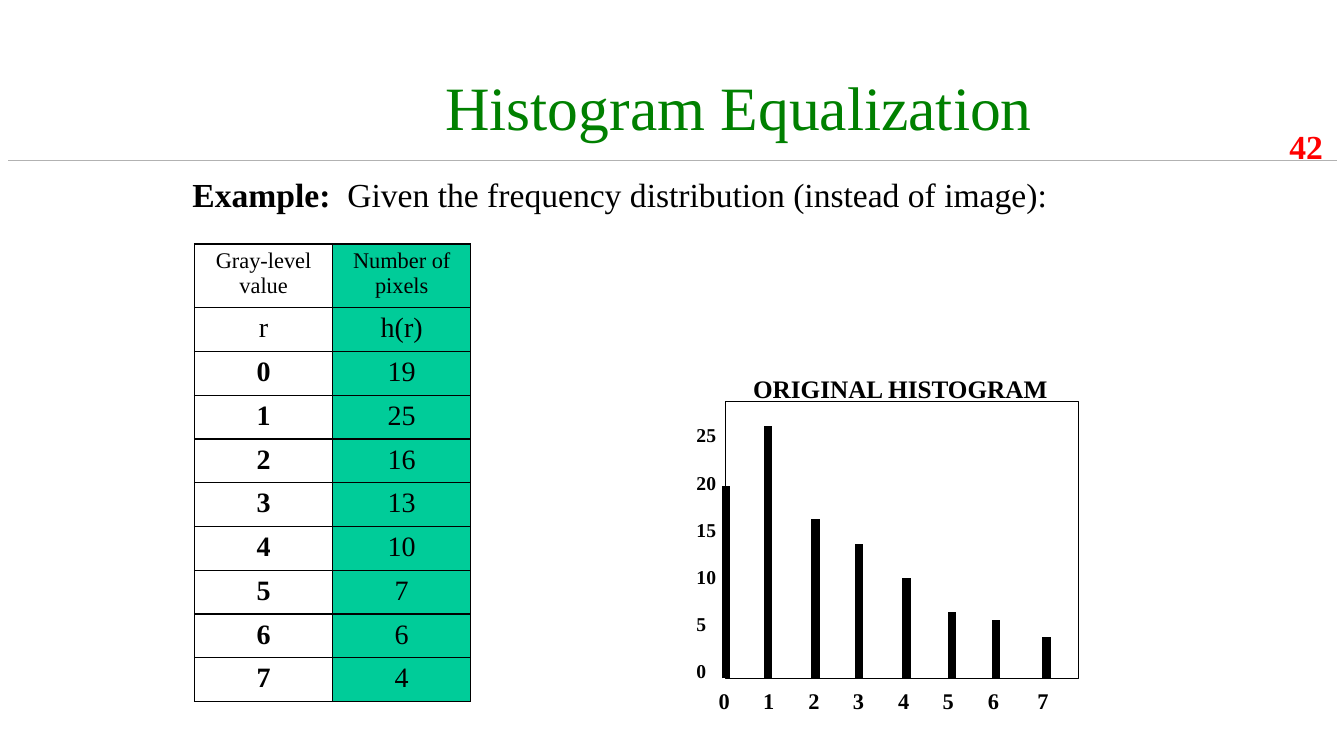
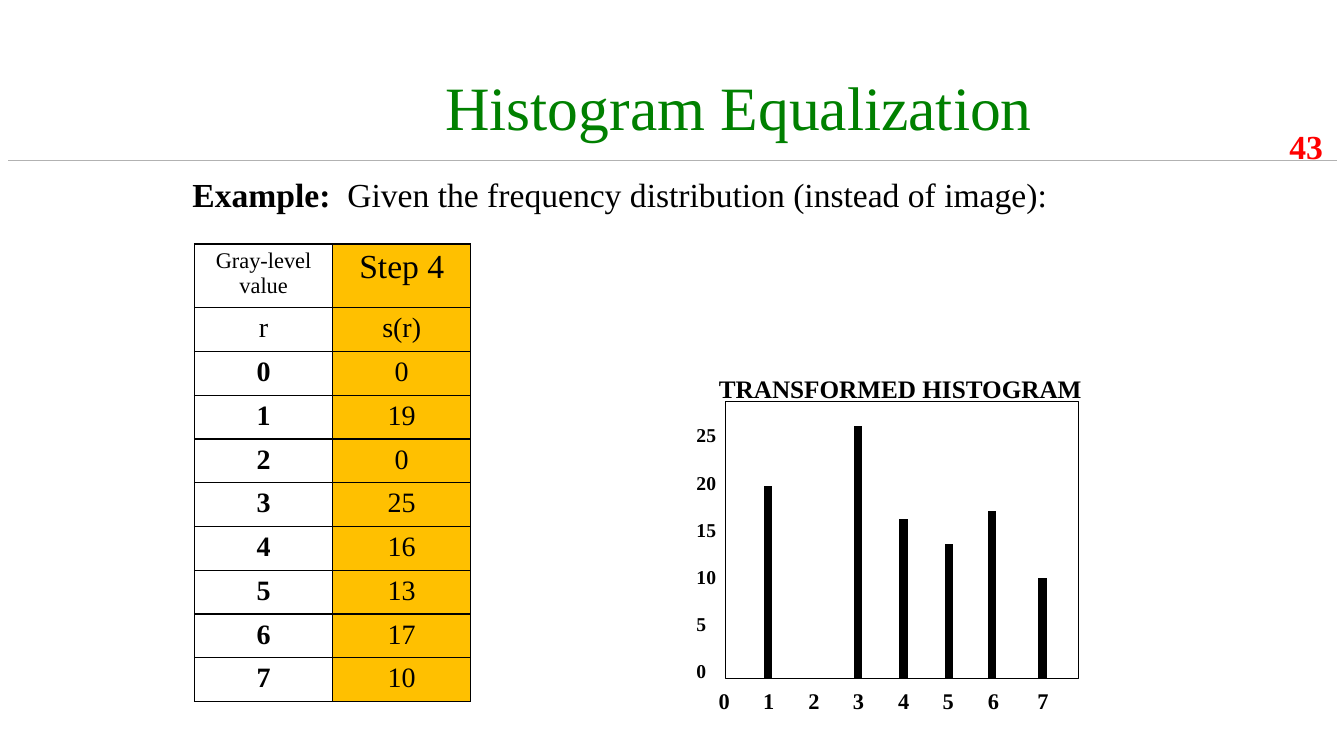
import lxml.etree
import pptx
import pptx.dml.color
import pptx.enum.shapes
import pptx.enum.text
import pptx.oxml.ns
import pptx.util

PX = 9144
FONT = "Times New Roman"
BLACK, GREEN, RED, GRAY = "000000", "008000", "FF0000", "B2B2B2"
LEFT = pptx.enum.text.PP_ALIGN.LEFT
CENTER = pptx.enum.text.PP_ALIGN.CENTER

TITLE = "Histogram Equalization"
EXAMPLE = [("Example:  ", True), ("Given the frequency distribution (instead of image):", False)]
FIRST_NUMBER = 42
LEVELS = range(8)
TICKS = range(25, -1, -5)
SLIDES = [
    {"head": "Number of pixels", "head_size": 16, "symbol": "h(r)", "fill": "00CC99",
     "values": [19, 25, 16, 13, 10, 7, 6, 4], "chart_title": "ORIGINAL HISTOGRAM",
     "bars": [(0, 191), (42, 250), (89, 158), (132, 133),
              (179, 100), (224, 66), (268, 58), (318, 41)]},
    {"head": "Step 4", "head_size": 24, "symbol": "s(r)", "fill": "FFC000",
     "values": [0, 19, 0, 25, 16, 13, 17, 10], "chart_title": "TRANSFORMED HISTOGRAM",
     "bars": [(42, 191), (131, 250), (176, 158), (221, 133), (264, 166), (314, 100)]},
]

TABLE_BOX = (193, 242, 274, 453)
HEAD_HEIGHT = 63
FRAME = (720, 398, 350, 275)
LABEL_TABS = [44, 89, 133, 178, 222, 267, 316]


def px(n):
    return pptx.util.Emu(round(n * PX))


def rgb(value):
    return pptx.dml.color.RGBColor.from_string(value)


def add_run(p, text, size, bold=False, color=BLACK):
    r = p.add_run()
    r.text = text
    for name, value in {"name": FONT, "size": pptx.util.Pt(size), "bold": bold}.items():
        setattr(r.font, name, value)
    r.font.color.rgb = rgb(color)


def add_text(s, box, paragraphs, size, color=BLACK, align=LEFT, wrap=True, gap=0):
    tf = s.shapes.add_textbox(*map(px, box)).text_frame
    tf.word_wrap = wrap
    for i, runs in enumerate(paragraphs):
        p = tf.add_paragraph() if i else tf.paragraphs[0]
        p.alignment = align
        if i and gap:
            p.space_before = pptx.util.Pt(gap)
        for text, bold in runs:
            add_run(p, text, size, bold, color)
    return tf


def add_line(s, x1, y1, x2, y2, color, width):
    sp = s.shapes.add_connector(
        pptx.enum.shapes.MSO_CONNECTOR.STRAIGHT, px(x1), px(y1), px(x2), px(y2))
    sp.line.color.rgb = rgb(color)
    sp.line.width = pptx.util.Pt(width)
    lxml.etree.SubElement(sp._element.spPr, pptx.oxml.ns.qn("a:effectLst"))


def add_borders(cell):
    qn = pptx.oxml.ns.qn
    tcPr = cell._tc.get_or_add_tcPr()
    for i, side in enumerate("LRTB"):
        ln = lxml.etree.Element(qn(f"a:ln{side}"), w=str(pptx.util.Pt(1)))
        fill = lxml.etree.SubElement(ln, qn("a:solidFill"))
        lxml.etree.SubElement(fill, qn("a:srgbClr"), val=BLACK)
        tcPr.insert(i, ln)


def add_frequency_table(s, data):
    rows = [(("Gray-level value", 16, False), (data["head"], data["head_size"], False)),
            (("r", 20, False), (data["symbol"], 20, False))]
    rows += [((str(level), 20, True), (str(value), 20, False))
             for level, value in zip(LEVELS, data["values"])]
    table = s.shapes.add_table(len(rows), 2, *map(px, TABLE_BOX)).table
    table.first_row = table.horz_banding = False
    row_height = (TABLE_BOX[3] - HEAD_HEIGHT) / (len(rows) - 1)
    for i, row in enumerate(rows):
        table.rows[i].height = px(row_height if i else HEAD_HEIGHT)
        for j, (text, size, bold) in enumerate(row):
            cell = table.cell(i, j)
            if j:
                cell.fill.solid()
                cell.fill.fore_color.rgb = rgb(data["fill"])
            else:
                cell.fill.background()
            add_borders(cell)
            p = cell.text_frame.paragraphs[0]
            p.alignment = CENTER
            add_run(p, text, size, bold)


def add_histogram(s, data):
    left, top, width, height = FRAME
    base = top + height
    sp = s.shapes.add_shape(pptx.enum.shapes.MSO_SHAPE.RECTANGLE, *map(px, FRAME))
    sp.shadow.inherit = False
    sp.fill.background()
    sp.line.color.rgb = rgb(BLACK)
    sp.line.width = pptx.util.Pt(0.75)
    for x, bar_height in data["bars"]:
        add_line(s, left + x, base, left + x, base - bar_height, BLACK, 6)

    labels = "\t".join(map(str, LEVELS))
    tf = add_text(s, (left - 17, base + 4, 433, 35), [[(labels, True)]], 16)
    pPr = tf.paragraphs[0]._p.get_or_add_pPr()
    tabs = lxml.etree.SubElement(pPr, pptx.oxml.ns.qn("a:tabLst"))
    for x in LABEL_TABS:
        lxml.etree.SubElement(tabs, pptx.oxml.ns.qn("a:tab"), pos=str(px(x)), algn="l")

    add_text(s, (left - 39, top + 17, 50, 269), [[(str(t), True)] for t in TICKS], 14, gap=16.9)
    add_text(s, (left - 27, top - 33, width + 50, 40), [[(data["chart_title"], True)]], 18,
             align=CENTER, wrap=False)


def add_base(prs, number):
    s = prs.slides.add_slide(prs.slide_layouts[6])
    add_line(s, 1326, 159, 8, 159, GRAY, 0.25)
    add_text(s, (1269, 120, 59, 50), [[(str(number), True)]], 24, RED, wrap=False)
    add_text(s, (310, 63, 846, 83), [[(TITLE, False)]], 44, GREEN, CENTER)
    add_text(s, (181, 168, 946, 50), [EXAMPLE], 24)
    return s


def main():
    prs = pptx.Presentation()
    prs.slide_width, prs.slide_height = px(1333), px(750)
    for number, data in enumerate(SLIDES, FIRST_NUMBER):
        s = add_base(prs, number)
        add_frequency_table(s, data)
        add_histogram(s, data)
    prs.save("out.pptx")


if __name__ == "__main__":
    main()
